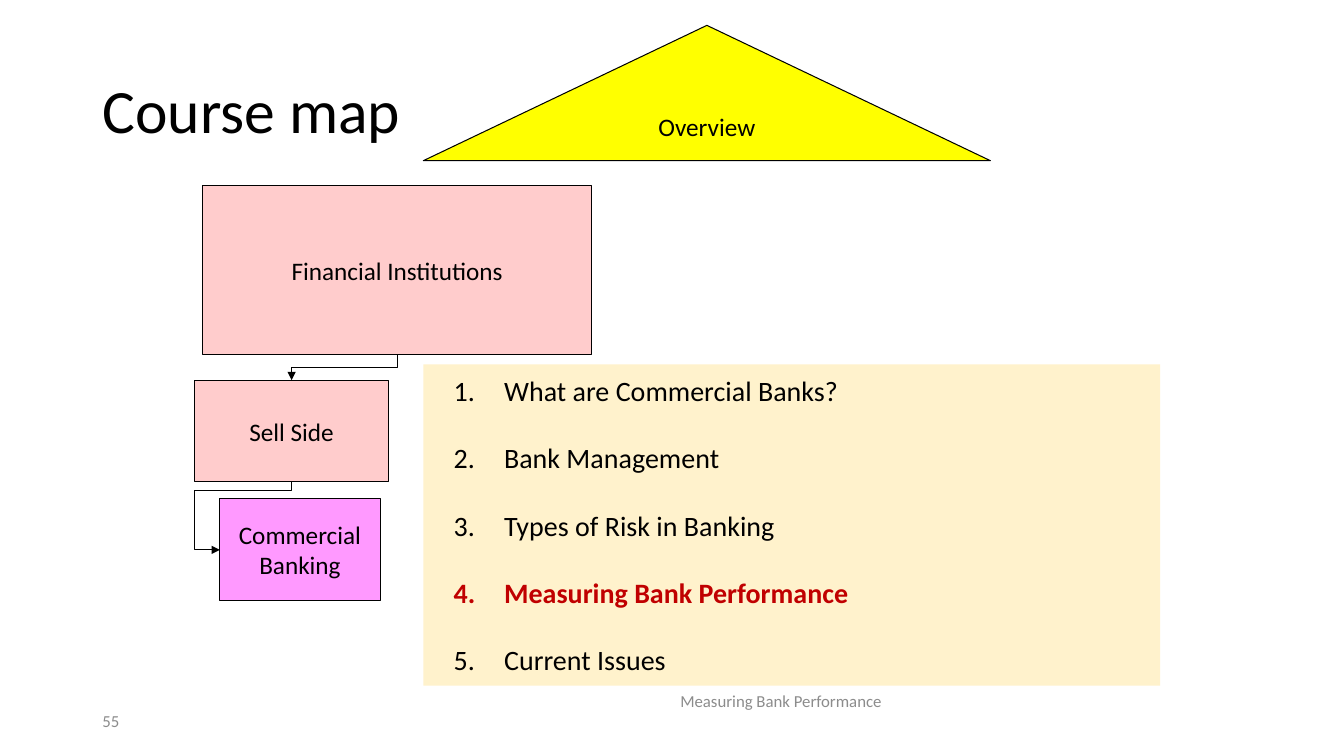
from dataclasses import dataclass

from lxml.etree import SubElement
from pptx import Presentation
from pptx.dml.color import RGBColor
from pptx.enum.shapes import MSO_CONNECTOR as Connector, MSO_SHAPE as Shape
from pptx.enum.text import MSO_ANCHOR as Anchor, MSO_AUTO_SIZE as AutoSize, PP_ALIGN as Align
from pptx.oxml.ns import qn
from pptx.util import Cm, Pt

COLOURS = {
    "text": "000000", "line": "000000", "muted": "8C8C8C", "highlight": "C00000",
    "institution": "FFCCCC", "banking": "FF99FF", "overview": "FFFF00", "agenda": "FFF2CC",
}
FONT = "Calibri"
TOPICS = ["What are Commercial Banks?", "Bank Management", "Types of Risk in Banking",
          "Measuring Bank Performance", "Current Issues"]
CURRENT_TOPIC = "Measuring Bank Performance"
BOTTOM_SITE, LEFT_SITE, TOP_SITE = 2, 1, 0


@dataclass
class Box:
    """Position and size in centimetres."""
    left: float
    top: float
    width: float
    height: float


@dataclass
class MapNode:
    text: str
    box: Box
    fill: str
    preset: Shape = Shape.RECTANGLE
    wrap: bool = False


@dataclass
class MapLink:
    source: str
    target: str
    target_site: int
    preset: str
    adjustments: list[int]


@dataclass
class FooterText:
    text: str
    box: Box
    align: Align


NODES = [
    MapNode("Sell Side", Box(4.9, 9.58, 4.9, 2.56), "institution"),
    MapNode("Commercial Banking", Box(5.54, 12.57, 4.04, 2.57), "banking", wrap=True),
    MapNode("Financial Institutions", Box(5.1, 4.67, 9.82, 4.27), "institution"),
    MapNode("Overview", Box(10.67, 0.64, 14.29, 3.41), "overview", Shape.FLOWCHART_EXTRACT),
]
LINKS = [
    MapLink("Financial Institutions", "Sell Side", TOP_SITE, "bentConnector3", [50000]),
    MapLink("Sell Side", "Commercial Banking", LEFT_SITE, "bentConnector4", [12500, 135300]),
]
FOOTERS = [
    FooterText("55", Box(2.33, 17.66, 7.62, 1.01), Align.LEFT),
    FooterText("Measuring Bank Performance", Box(9.75, 17.06, 19.87, 1.2), Align.CENTER),
]


def colour(name: str) -> RGBColor:
    return RGBColor.from_string(COLOURS[name])


def place(shape, box: Box) -> None:
    shape.left, shape.top = Cm(box.left), Cm(box.top)
    shape.width, shape.height = Cm(box.width), Cm(box.height)


def add_run(paragraph, text: str, size: float, colour_name: str = "text", bold: bool = False) -> None:
    run = paragraph.add_run()
    run.text = text
    run.font.name, run.font.size, run.font.bold = FONT, Pt(size), bold
    run.font.color.rgb = colour(colour_name)


def prepare_frame(shape, wrap: bool = True):
    """Set up a middle-anchored frame and return its first paragraph."""
    frame = shape.text_frame
    frame.word_wrap = wrap
    frame.auto_size = AutoSize.NONE
    frame.vertical_anchor = Anchor.MIDDLE
    return frame.paragraphs[0]


def fill_title(title) -> None:
    place(title, Box(2.33, 1.01, 29.21, 3.68))
    paragraph = prepare_frame(title)
    paragraph.alignment = Align.LEFT
    paragraph.line_spacing = 0.9
    add_run(paragraph, "Course map", 44)


def fill_agenda(agenda) -> None:
    place(agenda, Box(10.67, 9.18, 18.57, 8.1))
    agenda.fill.solid()
    agenda.fill.fore_color.rgb = colour("agenda")
    first = prepare_frame(agenda)
    for index, topic in enumerate(TOPICS):
        paragraph = agenda.text_frame.add_paragraph() if index else first
        paragraph.alignment = Align.LEFT
        paragraph.line_spacing = 2.0 if index else 1.0
        paragraph.space_before = Pt(0)
        properties = paragraph._p.get_or_add_pPr()
        properties.set("marL", str(Cm(1.78)))
        properties.set("indent", str(Cm(-1.27)))
        SubElement(properties, qn("a:buFont"), typeface="+mj-lt")
        SubElement(properties, qn("a:buAutoNum"), type="arabicPeriod")
        current = topic == CURRENT_TOPIC
        add_run(paragraph, topic, 20, "highlight" if current else "text", current)


def add_node(slide, node: MapNode):
    shape = slide.shapes.add_shape(node.preset, 0, 0, 0, 0)
    place(shape, node.box)
    shape.shadow.inherit = False
    shape.fill.solid()
    shape.fill.fore_color.rgb = colour(node.fill)
    shape.line.color.rgb = colour("line")
    shape.line.width = Pt(0.75)
    paragraph = prepare_frame(shape, node.wrap)
    paragraph.alignment = Align.CENTER
    add_run(paragraph, node.text, 18)
    return shape


def add_link(slide, link: MapLink, shapes: dict) -> None:
    """Draw an elbow arrow that leaves the source downwards, towards the left."""
    connector = slide.shapes.add_connector(Connector.ELBOW, 0, 0, 0, 0)
    connector.begin_connect(shapes[link.source], BOTTOM_SITE)
    connector.end_connect(shapes[link.target], link.target_site)
    across = connector.begin_x - connector.end_x
    down = connector.end_y - connector.begin_y
    middle_x = (connector.begin_x + connector.end_x) // 2
    middle_y = (connector.begin_y + connector.end_y) // 2

    properties = connector._element.spPr
    transform = properties.find(qn("a:xfrm"))
    transform.attrib.clear()
    transform.set("rot", "5400000")
    connector.left, connector.top = middle_x - down // 2, middle_y - across // 2
    connector.width, connector.height = down, across

    geometry = properties.find(qn("a:prstGeom"))
    geometry.set("prst", link.preset)
    guides = geometry.find(qn("a:avLst"))
    for number, value in enumerate(link.adjustments, 1):
        SubElement(guides, qn("a:gd"), name=f"adj{number}", fmla=f"val {value}")

    connector.line.color.rgb = colour("line")
    connector.line.width = Pt(0.75)
    SubElement(properties.find(qn("a:ln")), qn("a:tailEnd"), type="triangle")
    SubElement(properties, qn("a:effectLst"))


def add_footer(slide, footer: FooterText) -> None:
    shape = slide.shapes.add_textbox(0, 0, 0, 0)
    place(shape, footer.box)
    paragraph = prepare_frame(shape)
    paragraph.alignment = footer.align
    add_run(paragraph, footer.text, 12, "muted")


def main() -> None:
    presentation = Presentation()
    presentation.slide_width, presentation.slide_height = Cm(33.87), Cm(19.05)
    slide = presentation.slides.add_slide(presentation.slide_layouts[1])
    fill_title(slide.shapes.title)
    fill_agenda(slide.placeholders[1])
    shapes = {node.text: add_node(slide, node) for node in NODES}
    for link in LINKS:
        add_link(slide, link, shapes)
    for footer in FOOTERS:
        add_footer(slide, footer)
    presentation.save("out.pptx")


if __name__ == "__main__":
    main()
